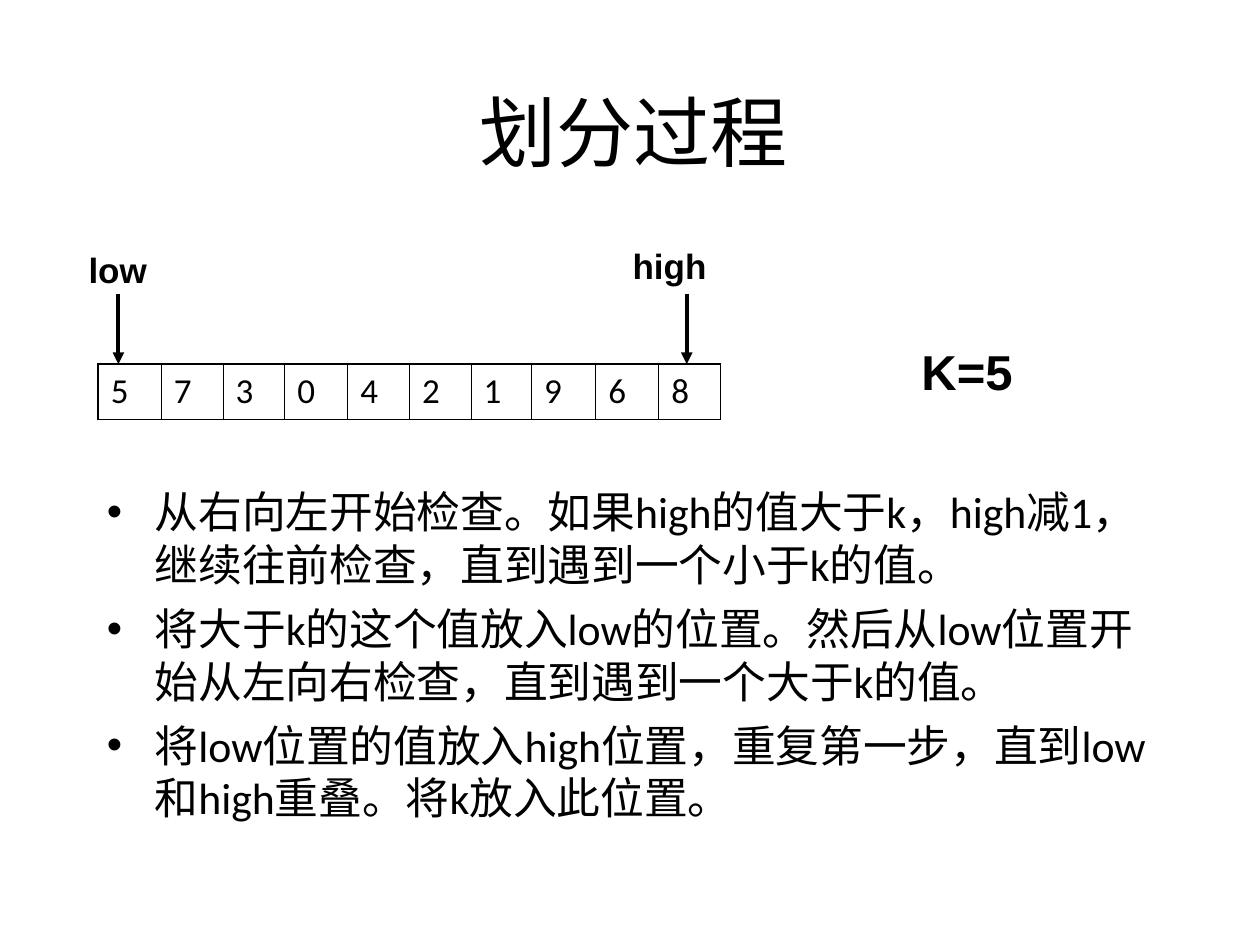
"""Builds the slide on the partition step of quicksort."""
from lxml import etree
from pptx import Presentation
from pptx.dml.color import RGBColor
from pptx.enum.shapes import MSO_CONNECTOR
from pptx.enum.text import MSO_ANCHOR, PP_ALIGN
from pptx.oxml.ns import qn
from pptx.util import Inches, Pt

STRAIGHT = MSO_CONNECTOR.STRAIGHT
MIDDLE, TOP = MSO_ANCHOR.MIDDLE, MSO_ANCHOR.TOP
CENTER, LEFT = PP_ALIGN.CENTER, PP_ALIGN.LEFT
BLACK = "000000"
STEPS = [
    "从右向左开始检查。如果high的值大于k，high减1，继续往前检查，直到遇到一个小于k的值。",
    "将大于k的这个值放入low的位置。然后从low位置开始从左向右检查，直到遇到一个大于k的值。",
    "将low位置的值放入high位置，重复第一步，直到low和high重叠。将k放入此位置。",
]
VALUES = [5, 7, 3, 0, 4, 2, 1, 9, 6, 8]
WIDTHS = [0.5, 0.49, 0.49, 0.5, 0.49, 0.49, 0.48, 0.51, 0.5, 0.49]


def color(value):
    return RGBColor.from_string(value)


def write(p, text, align, before, **font):
    p.alignment = align
    p.space_before = Pt(before)
    r = p.add_run()
    r.text = text
    r.font.color.rgb = color(BLACK)
    for name, value in font.items():
        setattr(r.font, name, value)


prs = Presentation()
prs.slide_width, prs.slide_height = Inches(10), Inches(7.5)
s = prs.slides.add_slide(prs.slide_layouts[6])

title = {"name": "Calibri", "size": Pt(44)}
body = {"name": "Calibri", "size": Pt(25)}
label = {"name": "Arial", "size": Pt(20), "bold": True}
pivot = {"name": "Arial", "size": Pt(28), "bold": True}
boxes = [
    ((0.78, 0.41, 8.5, 1.25), ["划分过程"], MIDDLE, CENTER, [0], title),
    ((0.75, 3.8, 8.5, 3.23), STEPS, TOP, LEFT, [16.9, 6.8, 6.8], body),
    ((0.52, 1.92, 0.83, 0.44), ["low"], TOP, CENTER, [12.5], label),
    ((4.9, 1.89, 0.83, 0.44), ["high"], TOP, CENTER, [12.5], label),
    ((6.45, 2.66, 2.45, 0.57), ["K=5"], TOP, CENTER, [17.5], pivot),
]
for place, texts, anchor, align, gaps, font in boxes:
    tf = s.shapes.add_textbox(*map(Inches, place)).text_frame
    tf.word_wrap = True
    tf.vertical_anchor = anchor
    for i, (text, gap) in enumerate(zip(texts, gaps)):
        p = tf.add_paragraph() if i else tf.paragraphs[0]
        write(p, text, align, gap, **font)
        if texts is STEPS:
            pPr = p._p.get_or_add_pPr()
            pPr.set("marL", str(Inches(0.38)))
            pPr.set("indent", str(Inches(-0.38)))
            etree.SubElement(pPr, qn("a:buFont"), typeface="Arial")
            etree.SubElement(pPr, qn("a:buChar"), char="•")

last = len(VALUES) - 1
table = s.shapes.add_table(
    1, len(VALUES), Inches(0.78), Inches(2.89), Inches(sum(WIDTHS)), Inches(0.44)
).table
table.first_row = table.horz_banding = False
for i, (value, width) in enumerate(zip(VALUES, WIDTHS)):
    table.columns[i].width = Inches(width)
    cell = table.cell(0, i)
    write(cell.text_frame.paragraphs[0], str(value), LEFT, 5, name="Calibri", size=Pt(20))
    borders = {
        "a:lnL": 0.45 if i else 1.08,
        "a:lnR": 0.45 if i < last else 1.08,
        "a:lnT": 1.08,
        "a:lnB": 1.08,
    }
    tcPr = cell._tc.get_or_add_tcPr()
    for tag, weight in borders.items():
        ln = etree.SubElement(tcPr, qn(tag), w=str(Pt(weight)))
        fill = etree.SubElement(ln, qn("a:solidFill"))
        etree.SubElement(fill, qn("a:srgbClr"), val=BLACK)
    cell.fill.background()

for x in (0.94, 5.45):
    arrow = s.shapes.add_connector(STRAIGHT, Inches(x), Inches(2.33), Inches(x), Inches(2.89))
    arrow.line.color.rgb = color(BLACK)
    arrow.line.width = Pt(2.25)
    etree.SubElement(arrow.line._get_or_add_ln(), qn("a:tailEnd"), type="triangle")
    etree.SubElement(arrow._element.spPr, qn("a:effectLst"))

prs.save("out.pptx")
